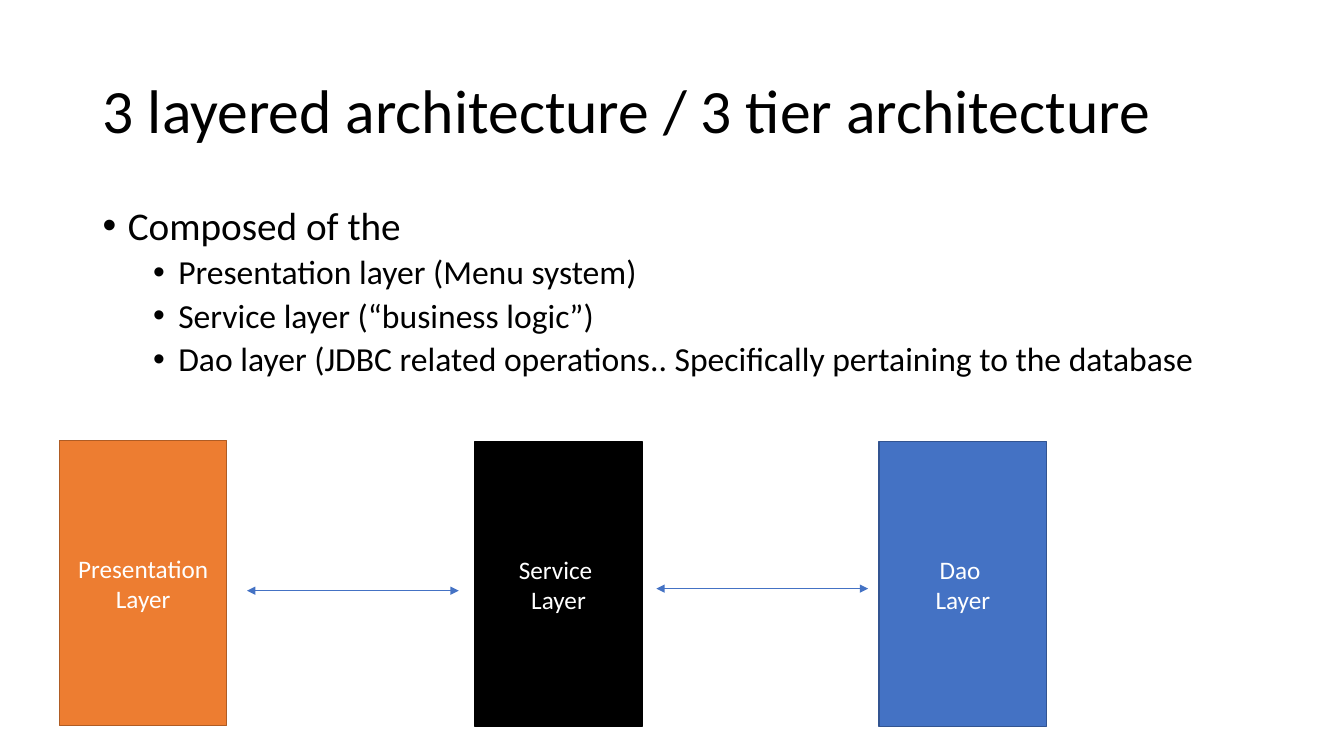
from lxml import etree
from pptx import Presentation
from pptx.dml.color import RGBColor
from pptx.enum.shapes import MSO_CONNECTOR as CONN, MSO_SHAPE as SHAPE
from pptx.enum.text import MSO_ANCHOR as ANCHOR, MSO_AUTO_SIZE as AUTO, PP_ALIGN as ALIGN
from pptx.oxml.ns import qn
from pptx.util import Pt

PX = 9144  # 100 px to the inch


def box(*lengths):
    """Turn px lengths into EMU."""
    return [n * PX for n in lengths]


def write(p, text, size, color, **format_values):
    """Add one run to a paragraph and set the paragraph's format."""
    r = p.add_run()
    r.text = text
    r.font.name, r.font.size = "Calibri", Pt(size)
    r.font.color.rgb = RGBColor.from_string(color)
    for name, value in format_values.items():
        setattr(p, name, value)


prs = Presentation()
prs.slide_width, prs.slide_height = box(1333, 750)
s = prs.slides.add_slide(prs.slide_layouts[5])

# Title
title = s.shapes.title
title.left, title.top, title.width, title.height = box(92, 40, 1150, 145)
tf = title.text_frame
for name, value in {"auto_size": AUTO.NONE, "word_wrap": True,
                    "vertical_anchor": ANCHOR.MIDDLE}.items():
    setattr(tf, name, value)
write(tf.paragraphs[0], "3 layered architecture / 3 tier architecture", 44, "000000",
      alignment=ALIGN.LEFT, line_spacing=0.9)

# Bulleted list
tf = s.shapes.add_textbox(*box(92, 200, 1150, 476)).text_frame
tf.word_wrap = True
bullets = [
    (0, "Composed of the"),
    (1, "Presentation layer (Menu system)"),
    (1, "Service layer (“business logic”)"),
    (1, "Dao layer (JDBC related operations.. Specifically pertaining to the database"),
]
for i, (level, text) in enumerate(bullets):
    p = tf.add_paragraph() if i else tf.paragraphs[0]
    write(p, text, 28 - 4 * level, "000000", level=level, line_spacing=0.9,
          space_before=Pt(10 - 5 * level))
    pPr = p._p.get_or_add_pPr()
    pPr.set("marL", str((25 + 50 * level) * PX))
    pPr.set("indent", str(-25 * PX))
    etree.SubElement(pPr, qn("a:buFont")).set("typeface", "Arial")
    etree.SubElement(pPr, qn("a:buChar")).set("char", "•")

# Layer boxes
layers = [
    ("Presentation", 59, 437, "ED7D31", "AF5C24"),
    ("Service ", 471, 438, "000000", "000000"),
    ("Dao ", 872, 438, "4472C4", "325491"),
]
for layer, x, y, fill, line in layers:
    sp = s.shapes.add_shape(SHAPE.RECTANGLE, *box(x, y, 166, 283))
    sp.shadow.inherit = False
    sp.fill.solid()
    sp.fill.fore_color.rgb = RGBColor.from_string(fill)
    sp.line.color.rgb = RGBColor.from_string(line)
    sp.line.width = Pt(1)
    tf = sp.text_frame
    tf.vertical_anchor = ANCHOR.MIDDLE
    for p, text in ((tf.paragraphs[0], layer), (tf.add_paragraph(), "Layer")):
        write(p, text, 18, "FFFFFF", alignment=ALIGN.CENTER)

# Two-way arrows between the layers
for x, y in ((245, 586), (651, 584)):
    arrow = s.shapes.add_connector(CONN.STRAIGHT, *box(x, y, x + 210, y))
    arrow.line.color.rgb = RGBColor.from_string("4472C4")
    arrow.line.width = Pt(0.5)
    ln = arrow.line._get_or_add_ln()
    for end in ("a:headEnd", "a:tailEnd"):
        etree.SubElement(ln, qn(end)).set("type", "triangle")
    etree.SubElement(arrow._element.spPr, qn("a:effectLst"))

prs.save("out.pptx")
